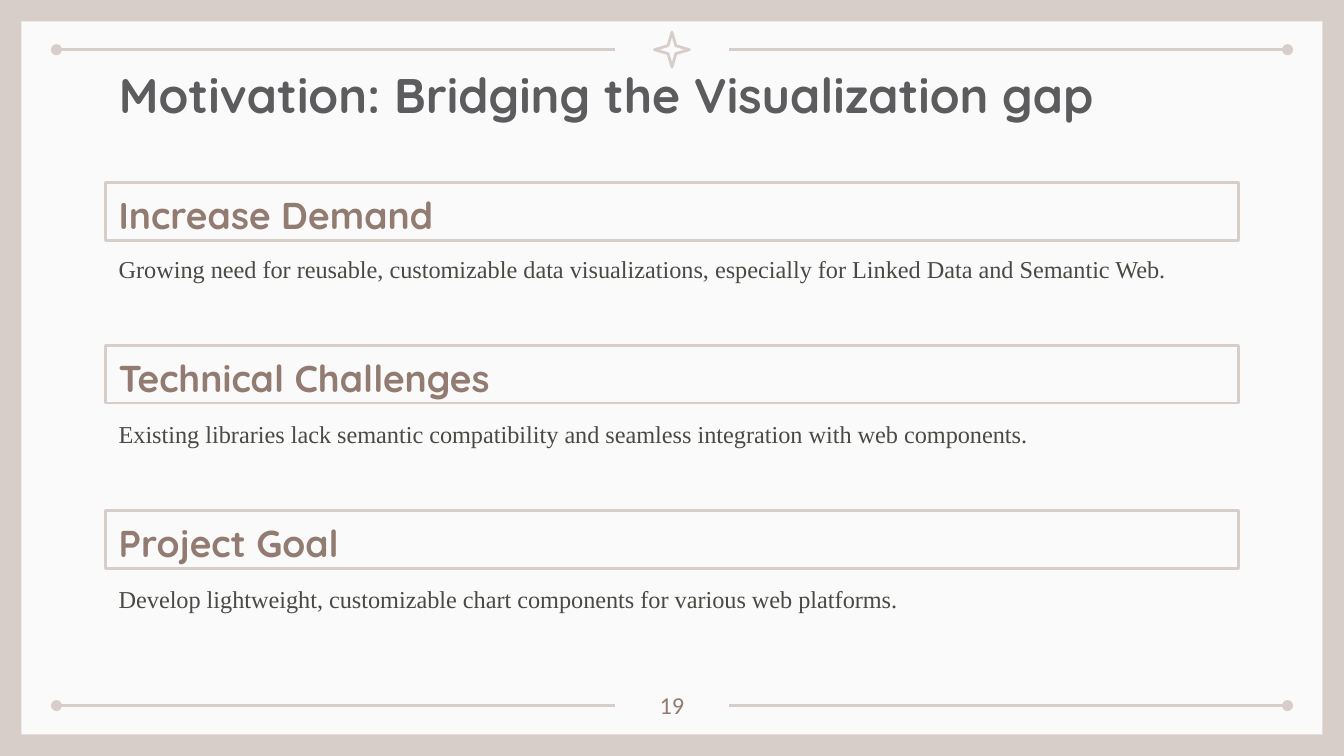
"""Build the motivation slide with three outlined headings and their explanations."""
from dataclasses import dataclass

from lxml.etree import SubElement
from pptx import Presentation
from pptx.dml.color import RGBColor
from pptx.enum.shapes import MSO_CONNECTOR as Connector, MSO_SHAPE as Preset
from pptx.enum.text import MSO_ANCHOR as Anchor, MSO_AUTO_SIZE as AutoSize, PP_ALIGN as Align
from pptx.oxml.ns import qn
from pptx.util import Emu, Pt

PX = 4572
SLIDE_WIDTH, SLIDE_HEIGHT = 2000, 1125
LEFT, WIDTH = 157, 1686
MARGIN = 32
COLORS = {
    "frame": "D8CEC9",
    "panel": "FAFAFA",
    "title": "5C5C5F",
    "accent": "927C71",
    "body": "4A4A45",
}


@dataclass(frozen=True)
class Box:
    left: int
    top: int
    width: int
    height: int

    def emu(self) -> list[Emu]:
        return [px(n) for n in (self.left, self.top, self.width, self.height)]


@dataclass(frozen=True)
class Style:
    font: str
    size: int
    color: str
    bold: bool = False
    spacing: float = 1.0
    align: Align = Align.LEFT
    anchor: Anchor = Anchor.TOP


@dataclass(frozen=True)
class Topic:
    top: int
    detail_top: int
    heading: str
    detail: str


TITLE = Style("Quicksand", 26, "title", bold=True)
HEADING = Style("Quicksand", 20, "accent", bold=True, spacing=1.15, anchor=Anchor.MIDDLE)
DETAIL = Style("Times New Roman", 13, "body", spacing=1.15)
NUMBER = Style("Calibri", 13, "accent", align=Align.CENTER)

TOPICS = [
    Topic(272, 352, "Increase Demand",
          "Growing need for reusable, customizable data visualizations, "
          "especially for Linked Data and Semantic Web."),
    Topic(514, 598, "Technical Challenges",
          "Existing libraries lack semantic compatibility and seamless "
          "integration with web components."),
    Topic(760, 843, "Project Goal",
          "Develop lightweight, customizable chart components for various web platforms."),
]


def px(length: int) -> Emu:
    return Emu(length * PX)


def rgb(name: str) -> RGBColor:
    return RGBColor.from_string(COLORS[name])


def write(shape, text: str, style: Style) -> None:
    frame = shape.text_frame
    frame.word_wrap = True
    frame.auto_size = AutoSize.NONE
    frame.vertical_anchor = style.anchor
    frame.margin_left = frame.margin_right = px(20)
    frame.margin_top = frame.margin_bottom = px(20)
    paragraph = frame.paragraphs[0]
    paragraph.alignment = style.align
    paragraph.line_spacing = style.spacing
    paragraph.space_before = Pt(0)
    run = paragraph.add_run()
    run.text = text
    run.font.name = style.font
    run.font.size = Pt(style.size)
    run.font.bold = style.bold
    run.font.color.rgb = rgb(style.color)


def outline(shape):
    shape.line.color.rgb = rgb("frame")
    shape.line.width = Pt(1.5)
    ln = shape.element.spPr.find(qn("a:ln"))
    SubElement(ln, qn("a:round"))
    return ln


def add_outlined(slide, preset: Preset, box: Box):
    shape = slide.shapes.add_shape(preset, *box.emu())
    shape.shadow.inherit = False
    shape.fill.background()
    outline(shape)
    return shape


def add_rule(slide, start: int, end: int, y: int, dotted_end: str) -> None:
    rule = slide.shapes.add_connector(Connector.STRAIGHT, px(start), px(y), px(end), px(y))
    SubElement(outline(rule), qn(dotted_end), type="oval")
    SubElement(rule.element.spPr, qn("a:effectLst"))


def add_text(slide, box: Box, text: str, style: Style) -> None:
    write(slide.shapes.add_textbox(*box.emu()), text, style)


def add_frame(slide) -> None:
    slide.background.fill.solid()
    slide.background.fill.fore_color.rgb = rgb("frame")
    card = Box(MARGIN, MARGIN, SLIDE_WIDTH - 2 * MARGIN, SLIDE_HEIGHT - 2 * MARGIN)
    panel = slide.shapes.add_shape(Preset.RECTANGLE, *card.emu())
    panel.shadow.inherit = False
    panel.fill.solid()
    panel.fill.fore_color.rgb = rgb("panel")
    panel.line.fill.background()
    for y in (74, 1050):
        add_rule(slide, 84, 915, y, "a:headEnd")
        add_rule(slide, SLIDE_WIDTH - 915, SLIDE_WIDTH - 84, y, "a:tailEnd")
    star = add_outlined(slide, Preset.STAR_4_POINT, Box(974, 48, 52, 52))
    star.adjustments[0] = 0.16


def add_title(slide, text: str) -> None:
    title = slide.shapes.title
    title.left, title.top, title.width, title.height = Box(LEFT, 77, WIDTH, 126).emu()
    slide.shapes.element.append(title.element)
    write(title, text, TITLE)


def add_topic(slide, topic: Topic) -> None:
    add_text(slide, Box(LEFT, topic.detail_top, WIDTH, 116), topic.detail, DETAIL)
    heading = add_outlined(slide, Preset.RECTANGLE, Box(LEFT, topic.top, WIDTH, 86))
    write(heading, topic.heading, HEADING)


def main() -> None:
    deck = Presentation()
    deck.slide_width, deck.slide_height = px(SLIDE_WIDTH), px(SLIDE_HEIGHT)
    slide = deck.slides.add_slide(deck.slide_layouts.get_by_name("Title Only"))
    add_frame(slide)
    add_title(slide, "Motivation: Bridging the Visualization gap")
    for topic in TOPICS:
        add_topic(slide, topic)
    add_text(slide, Box(940, 1007, 120, 72), "19", NUMBER)
    deck.save("out.pptx")


if __name__ == "__main__":
    main()
